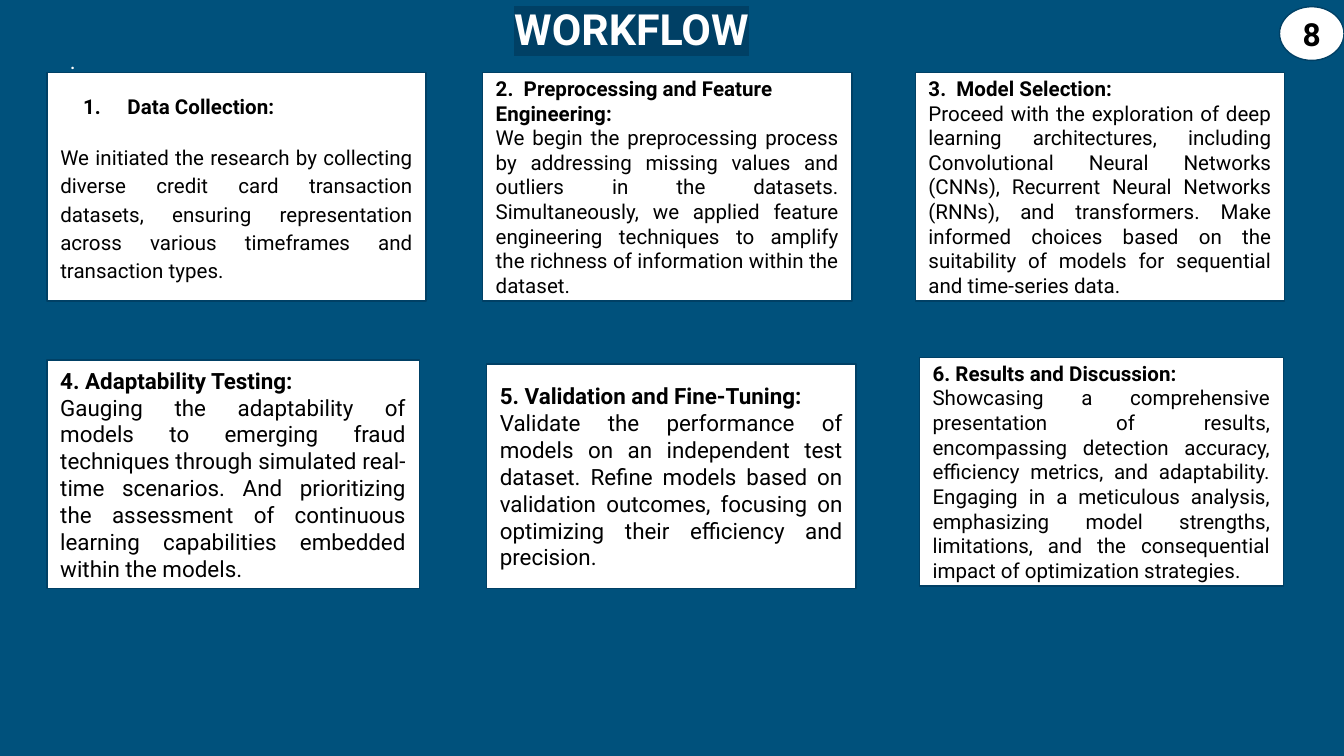
"""Build the WORKFLOW slide: six step cards, a title and a page badge."""
from dataclasses import dataclass
from typing import Any

from lxml import etree
from pptx import Presentation
from pptx import util as u
from pptx.dml import color as c
from pptx.enum import shapes, text
from pptx.oxml import ns


@dataclass(frozen=True)
class Theme:
    """Colours, font and type sizes of the slide."""
    back: str = "00517C"
    dark: str = "004065"
    white: str = "FFFFFF"
    black: str = "000000"
    font: str = "Roboto"
    title: int = 23
    badge: int = 17
    large: int = 12
    small: int = 11


@dataclass(frozen=True)
class Area:
    """A rectangle on the page, in inches."""
    left: float
    top: float
    width: float
    height: float


@dataclass(frozen=True)
class Step:
    """One workflow card."""
    area: Area
    heading: str
    body: str
    size: int
    numbered: bool = False


THEME = Theme()
PAGE_WIDTH = 10
PAGE_HEIGHT = PAGE_WIDTH * 9 / 16
ALIGN = text.PP_ALIGN
ANCHOR = text.MSO_ANCHOR
SHAPE = shapes.MSO_SHAPE

STEPS = (
    Step(Area(0.35, 0.54, 2.82, 1.7), "Data Collection:",
         "We initiated the research by collecting diverse credit card transaction datasets, "
         "ensuring representation across various timeframes and transaction types.",
         THEME.small, numbered=True),
    Step(Area(6.81, 0.54, 2.75, 1.7), "3.  Model Selection:",
         "Proceed with the exploration of deep learning architectures, including Convolutional "
         "Neural Networks (CNNs), Recurrent Neural Networks (RNNs), and transformers. Make "
         "informed choices based on the suitability of models for sequential and time-series "
         "data.", THEME.small),
    Step(Area(3.59, 0.54, 2.75, 1.7), "2.  Preprocessing and Feature Engineering:",
         "We begin the preprocessing process by addressing missing values and outliers in the "
         "datasets. Simultaneously, we applied feature engineering techniques to amplify the "
         "richness of information within the dataset.", THEME.small),
    Step(Area(0.35, 2.68, 2.77, 1.7), "4. Adaptability Testing:",
         "Gauging the adaptability of models to emerging fraud techniques through simulated "
         "real-time scenarios. And prioritizing the assessment of continuous learning "
         "capabilities embedded within the models.", THEME.large),
    Step(Area(3.62, 2.71, 2.75, 1.67), "5. Validation and Fine-Tuning:",
         "Validate the performance of models on an independent test dataset. Refine models "
         "based on validation outcomes, focusing on optimizing their efficiency and precision.",
         THEME.large),
    Step(Area(6.84, 2.66, 2.71, 1.7), "6. Results and Discussion:",
         "Showcasing a comprehensive presentation of results, encompassing detection accuracy, "
         "efficiency metrics, and adaptability. Engaging in a meticulous analysis, emphasizing "
         "model strengths, limitations, and the consequential impact of optimization "
         "strategies.", THEME.small),
)


def paint(fill: Any, color: str) -> None:
    """Make a fill solid in one colour."""
    fill.solid()
    fill.fore_color.rgb = c.RGBColor.from_string(color)


def add_element(parent: Any, tag: str, **attributes: str) -> Any:
    """Append a DrawingML element and return it."""
    return etree.SubElement(parent, ns.qn(tag), attributes)


def add_span(para: Any, words: str, size: int, color: str, highlight: str,
             bold: bool = False) -> None:
    """Add one highlighted run to a paragraph."""
    span = para.add_run()
    span.text = words
    span.font.size = u.Pt(size)
    span.font.bold = bold
    paint(span.font.fill, color)
    mark = add_element(span.font._element, "a:highlight")
    add_element(mark, "a:srgbClr", val=highlight)
    span.font.name = THEME.font


def set_spacing(para: Any, line: float = 1.0, before: int = 0, after: int = 0) -> None:
    """Set the line and paragraph spacing."""
    para.line_spacing = line
    para.space_before = u.Pt(before)
    para.space_after = u.Pt(after)


def set_indent(para: Any, margin: float, indent: float) -> Any:
    """Set a hanging indent and return the paragraph properties."""
    properties = para._p.get_or_add_pPr()
    properties.set("marL", str(u.Inches(margin)))
    properties.set("indent", str(u.Inches(indent)))
    return properties


def format_frame(box: Any, anchor: Any) -> Any:
    """Apply the common insets and return the first paragraph."""
    frame = box.text_frame
    frame.word_wrap = True
    frame.auto_size = text.MSO_AUTO_SIZE.NONE
    frame.vertical_anchor = anchor
    frame.margin_left = frame.margin_right = u.Inches(0.1)
    frame.margin_top = frame.margin_bottom = u.Inches(0.1)
    return frame.paragraphs[0]


def place(box: Any, area: Area) -> None:
    """Move and size a placeholder."""
    box.left, box.top = u.Inches(area.left), u.Inches(area.top)
    box.width, box.height = u.Inches(area.width), u.Inches(area.height)


def add_panel(page: Any, kind: Any, area: Area) -> Any:
    """Add a white outlined shape."""
    box = page.shapes.add_shape(kind, u.Inches(area.left), u.Inches(area.top),
                                u.Inches(area.width), u.Inches(area.height))
    box.shadow.inherit = False
    paint(box.fill, THEME.white)
    paint(box.line.fill, THEME.dark)
    box.line.width = u.Pt(0.75)
    return box


def add_step(page: Any, step: Step) -> None:
    """Draw one card with its heading and justified body."""
    box = add_panel(page, SHAPE.RECTANGLE, step.area)
    heading = format_frame(box, ANCHOR.MIDDLE)
    body = box.text_frame.add_paragraph()
    heading.alignment, body.alignment = ALIGN.LEFT, ALIGN.JUSTIFY
    line, gap = (1.15, 12) if step.numbered else (1.0, 0)
    set_spacing(heading, line)
    set_spacing(body, line, gap, gap)
    if step.numbered:
        properties = set_indent(heading, 0.5, -0.33)
        add_element(add_element(properties, "a:buClr"), "a:srgbClr", val=THEME.black)
        add_element(properties, "a:buFont", typeface=THEME.font)
        add_element(properties, "a:buAutoNum", type="arabicPeriod")
    add_span(heading, step.heading, step.size, THEME.black, THEME.white, bold=True)
    add_span(body, step.body, step.size, THEME.black, THEME.white)


def add_line(box: Any, anchor: Any, words: str, size: int, color: str, highlight: str) -> None:
    """Fill a box with one bold centred line."""
    para = format_frame(box, anchor)
    para.alignment = ALIGN.CENTER
    add_span(para, words, size, color, highlight, bold=True)


def main() -> None:
    """Assemble and save the deck."""
    deck = Presentation()
    deck.slide_width, deck.slide_height = u.Inches(PAGE_WIDTH), u.Inches(PAGE_HEIGHT)
    page = deck.slides.add_slide(deck.slide_layouts[1])
    paint(page.background.fill, THEME.back)

    title, body = page.shapes.title, page.placeholders[1]
    place(title, Area(3.72, -0.08, 1.96, 0.35))
    add_line(title, ANCHOR.TOP, "WORKFLOW", THEME.title, THEME.white, THEME.dark)

    place(body, Area(0.42, 0.22, 2.01, 1.51))
    para = format_frame(body, ANCHOR.TOP)
    set_spacing(para, 1.15, after=12)
    add_element(set_indent(para, 0, 0), "a:buNone")
    add_span(para, ".", THEME.large, THEME.white, THEME.back)

    for step in STEPS:
        add_step(page, step)
    badge = add_panel(page, SHAPE.OVAL, Area(9.52, 0.05, 0.48, 0.4))
    add_line(badge, ANCHOR.MIDDLE, "8", THEME.badge, THEME.black, THEME.white)
    deck.save("out.pptx")


if __name__ == "__main__":
    main()
